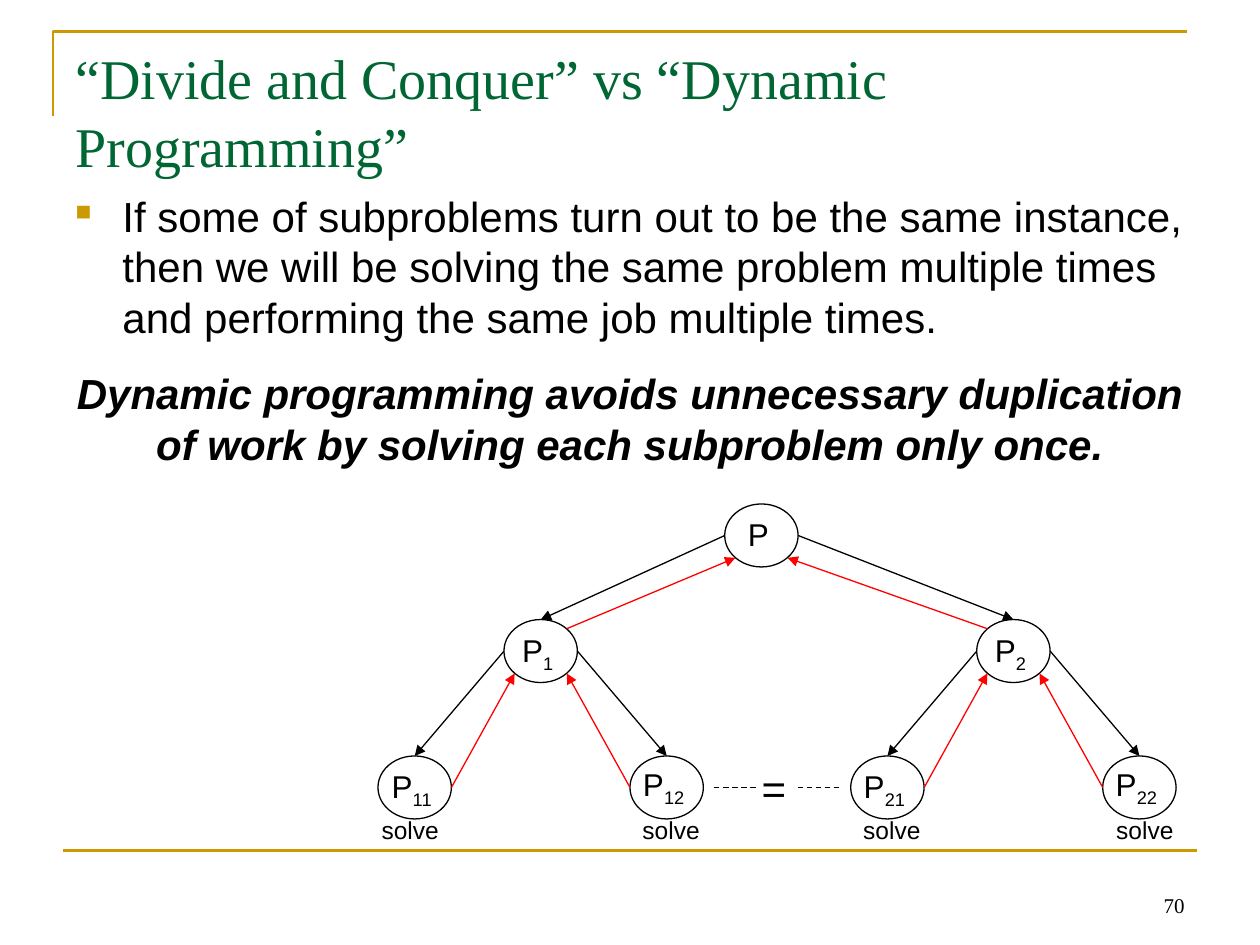
from lxml.etree import SubElement
from pptx import Presentation
from pptx.dml.color import RGBColor
from pptx.enum.dml import MSO_LINE
from pptx.enum.shapes import MSO_CONNECTOR, MSO_SHAPE
from pptx.enum.text import MSO_ANCHOR, MSO_AUTO_SIZE, PP_ALIGN
from pptx.oxml.ns import qn
from pptx.util import Cm, Pt

COLORS = {"gold": "CC9900", "green": "006633", "black": "000000", "red": "FF0101"}

TITLE = "“Divide and Conquer” vs “Dynamic Programming”"
BULLET = ("If some of subproblems turn out to be the same instance, then we will be "
          "solving the same problem multiple times and performing the same job multiple times.")
CONCLUSION = ("Dynamic programming avoids unnecessary duplication of work by solving "
              "each subproblem only once.")
PAGE_NUMBER = "70"

# subscript: (left, top, label drop), in cm
NODES = {
    "": (14.61, 10.16, 0.1),
    "1": (10.16, 12.49, 0.1),
    "2": (19.69, 12.49, 0.1),
    "11": (7.62, 15.24, 0.1),
    "12": (12.7, 15.24, 0.05),
    "21": (17.15, 15.24, 0.1),
    "22": (22.23, 15.24, 0.05),
}
SOLVE_SHIFTS = {"11": -0.09, "12": 0.09, "21": 0.09, "22": 0.11}
EQUALITY_DASHES = [(14.4, 15.24), (16.08, 16.94)]
NODE_WIDTH, NODE_HEIGHT = 1.48, 1.27
DIAGONAL = 0.71  # share of the radius at 45 degrees

presentation = Presentation()
presentation.slide_width, presentation.slide_height = Cm(25.4), Cm(19.05)
slide = presentation.slides.add_slide(presentation.slide_layouts[6])


def color(name):
    return RGBColor.from_string(COLORS[name])


def style_paragraph(paragraph, size, font="Arial", ink="black", align=PP_ALIGN.LEFT):
    paragraph.alignment = align
    paragraph.font.size = Pt(size)
    paragraph.font.name = font
    paragraph.font.color.rgb = color(ink)


def add_frame(left, top, width, height):
    frame = slide.shapes.add_textbox(Cm(left), Cm(top), Cm(width), Cm(height)).text_frame
    frame.word_wrap = True
    return frame


def add_label(center, top, width, height, text, size, subscript=""):
    """Centred, unwrapped text with an optional subscript."""
    frame = add_frame(center - width / 2, top, width, height)
    frame.word_wrap = False
    frame.auto_size = MSO_AUTO_SIZE.SHAPE_TO_FIT_TEXT
    paragraph = frame.paragraphs[0]
    style_paragraph(paragraph, size, align=PP_ALIGN.CENTER)
    paragraph.add_run().text = text
    if subscript:
        run = paragraph.add_run()
        run.text = subscript
        run._r.get_or_add_rPr().set("baseline", "-25000")


def add_line(start, end, ink="black", width=0.75, arrow=False, dashed=False):
    line = slide.shapes.add_connector(
        MSO_CONNECTOR.STRAIGHT, *(Cm(value) for value in (*start, *end)))
    line.line.color.rgb = color(ink)
    line.line.width = Pt(width)
    if dashed:
        line.line.dash_style = MSO_LINE.DASH
    if arrow:
        SubElement(line.line._get_or_add_ln(), qn("a:tailEnd"), type="triangle")
    SubElement(line._element.spPr, qn("a:effectLst"))


def node_point(name, across, down):
    """Point of a node; across and down run from -1 to 1 around its centre."""
    left, top, _ = NODES[name]
    return (left + NODE_WIDTH / 2 * (1 + across), top + NODE_HEIGHT / 2 * (1 + down))


def add_bullet(paragraph):
    properties = paragraph._p.get_or_add_pPr()
    properties.set("marL", str(Cm(0.95)))
    properties.set("indent", str(-Cm(0.95)))
    SubElement(SubElement(properties, qn("a:buClr")), qn("a:srgbClr"), val=COLORS["gold"])
    SubElement(properties, qn("a:buSzPct"), val="52000")
    SubElement(properties, qn("a:buChar"), char="■")


def add_rules():
    builder = slide.shapes.build_freeform(Cm(1.07), Cm(2.33))
    builder.add_line_segments([(Cm(1.07), Cm(0.64)), (Cm(23.93), Cm(0.64))], close=False)
    corner = builder.convert_to_shape()
    corner.fill.background()
    corner.line.color.rgb = color("gold")
    corner.line.width = Pt(1.5)
    corner.shadow.inherit = False
    add_line((1.27, 17.15), (24.13, 17.15), "gold", 1.5)


def add_texts():
    title = add_frame(1.27, 0.76, 22.86, 3.18).paragraphs[0]
    title.text = TITLE
    style_paragraph(title, 32, "Times New Roman", "green")

    body = add_frame(1.27, 3.71, 22.86, 12.57)
    bullet, conclusion = body.paragraphs[0], body.add_paragraph()
    bullet.text, conclusion.text = BULLET, CONCLUSION
    add_bullet(bullet)
    style_paragraph(bullet, 24)
    style_paragraph(conclusion, 24, align=PP_ALIGN.CENTER)
    conclusion.font.bold = conclusion.font.italic = True
    conclusion.space_before = Pt(9)
    bullet.space_after = conclusion.space_after = Pt(6)

    number = add_frame(18.21, 17.35, 5.92, 1.27)
    number.vertical_anchor = MSO_ANCHOR.BOTTOM
    number.paragraphs[0].text = PAGE_NUMBER
    style_paragraph(number.paragraphs[0], 12, "Times New Roman", align=PP_ALIGN.RIGHT)


def add_tree():
    for name, (left, top, drop) in NODES.items():
        ellipse = slide.shapes.add_shape(
            MSO_SHAPE.OVAL, Cm(left), Cm(top), Cm(NODE_WIDTH), Cm(NODE_HEIGHT))
        ellipse.fill.background()
        ellipse.line.color.rgb = color("black")
        ellipse.line.width = Pt(0.75)
        ellipse.shadow.inherit = False
        center = left + NODE_WIDTH / 2
        add_label(center - 0.06, top + drop, 0.94 + 0.23 * len(name), 1.02, "P", 18, name)
        if name in SOLVE_SHIFTS:
            add_label(center + SOLVE_SHIFTS[name], 16.31, 1.9, 0.84, "solve", 14)

    for child in filter(None, NODES):
        parent = child[:-1]
        side = -1 if child[-1] == "1" else 1
        add_line(node_point(parent, side, 0), node_point(child, 0, -1), arrow=True)
        if child in SOLVE_SHIFTS:
            start = node_point(child, -side, 0)
        else:
            start = node_point(child, -side * DIAGONAL, -DIAGONAL)
        add_line(start, node_point(parent, side * DIAGONAL, DIAGONAL), "red", arrow=True)

    add_label(15.6, 15.24, 1.02, 1.27, "=", 24)
    for start, end in EQUALITY_DASHES:
        add_line((start, 15.88), (end, 15.88), dashed=True)


add_rules()
add_texts()
add_tree()
presentation.save("out.pptx")
